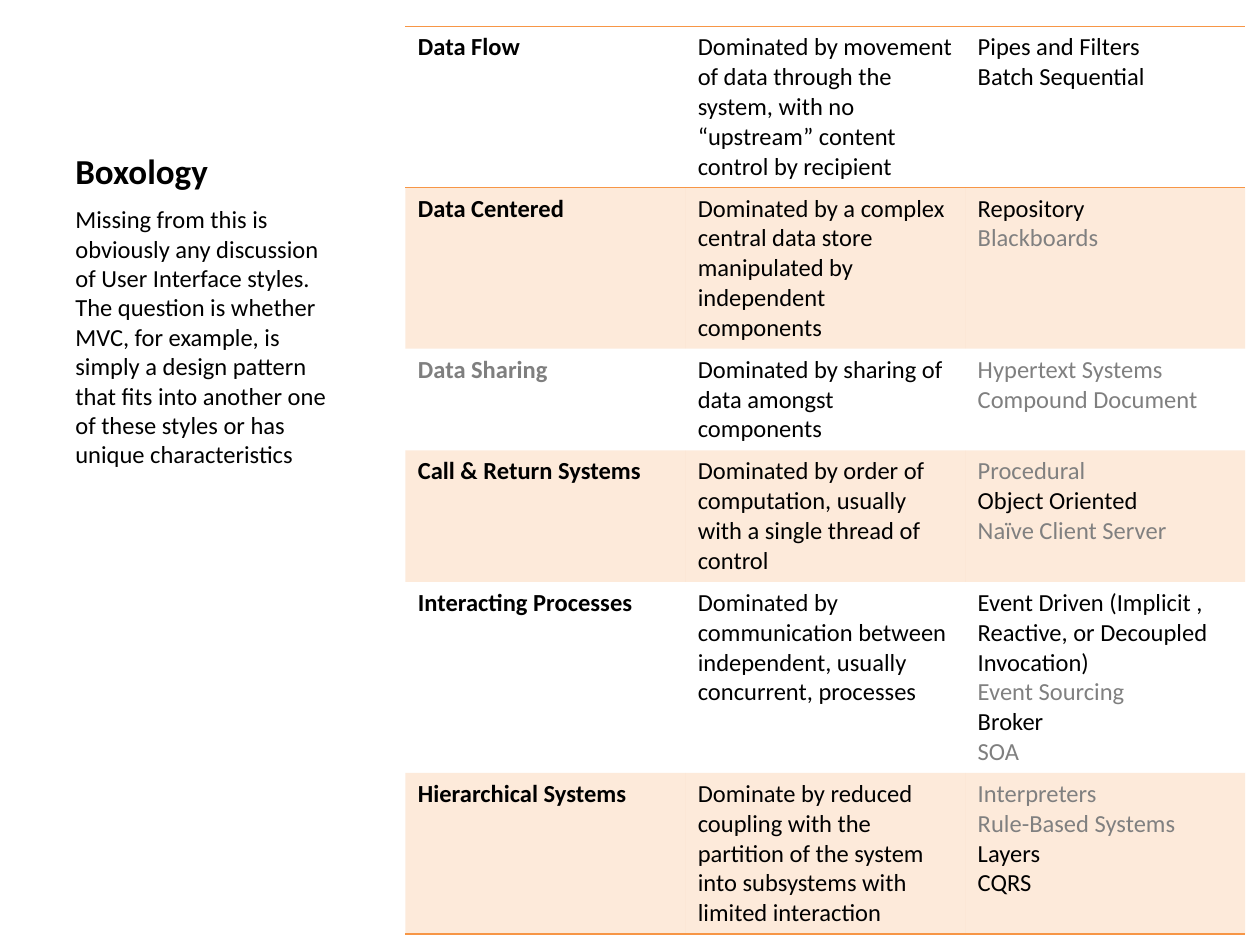
from lxml import etree
from pptx import Presentation
from pptx.dml import color
from pptx.enum import text
from pptx.oxml import ns
from pptx.util import Cm, Pt

BLACK, GREY, DARK_GREY, ORANGE = "000000", "808080", "7F7F7F", "F79646"
PLAIN_TABLE = "{2D5ABB26-0587-4C30-8999-92F81FD0307C}"
LINE_HEIGHT, CELL_PADDING = 0.6, 0.25

# Category, its description, its styles, and the lines the row takes
CATEGORIES = [
    (("Data Flow", BLACK),
     "Dominated by movement of data through the system, with no “upstream” content control by recipient",
     [("Pipes and Filters", BLACK), ("Batch Sequential", BLACK)], 5),
    (("Data Centered", BLACK),
     "Dominated by a complex central data store manipulated by independent components",
     [("Repository", BLACK), ("Blackboards", GREY)], 5),
    (("Data Sharing", DARK_GREY),
     "Dominated by sharing of data amongst components",
     [("Hypertext Systems", GREY), ("Compound Document", DARK_GREY)], 3),
    (("Call & Return Systems", BLACK),
     "Dominated by order of computation, usually with a single thread of control",
     [("Procedural", GREY), ("Object Oriented", BLACK), ("Naïve Client Server", GREY)], 4),
    (("Interacting Processes", BLACK),
     "Dominated by communication between independent, usually concurrent, processes",
     [("Event Driven (Implicit , Reactive, or Decoupled Invocation)", BLACK),
      ("Event Sourcing", GREY), ("Broker", BLACK), ("SOA", DARK_GREY)], 6),
    (("Hierarchical Systems", BLACK),
     "Dominate by reduced coupling with the partition of the system into subsystems with limited interaction",
     [("Interpreters", GREY), ("Rule-Based Systems", GREY), ("Layers", BLACK), ("CQRS", BLACK)], 5),
]


def rgb(hex_code):
    return color.RGBColor.from_string(hex_code)


class SlideBuilder:
    font = "Calibri"
    size = 14

    def __init__(self, slide):
        self.slide = slide

    def add_lines(self, frame, lines, size=None, bold=False):
        """Add each (wording, colour) pair as its own paragraph."""
        for index, (wording, hex_code) in enumerate(lines):
            paragraph = frame.add_paragraph() if index else frame.paragraphs[0]
            run = paragraph.add_run()
            run.text = wording
            run.font.name = self.font
            run.font.size = Pt(size or self.size)
            run.font.bold = bold
            run.font.color.rgb = rgb(hex_code)

    def text(self, left, top, width, height, wording, anchor, **style):
        box = self.slide.shapes.add_textbox(Cm(left), Cm(top), Cm(width), Cm(height))
        frame = box.text_frame
        frame.word_wrap = True
        frame.vertical_anchor = anchor
        self.add_lines(frame, [(wording, BLACK)], **style)

    def border(self, cell, side):
        line = etree.SubElement(cell._tc.get_or_add_tcPr(), ns.qn(f"a:ln{side}"), w=str(Pt(1)))
        fill = etree.SubElement(line, ns.qn("a:solidFill"))
        etree.SubElement(fill, ns.qn("a:srgbClr"), val=ORANGE)

    def shade(self, cell):
        """Fill the cell with a 20% orange tint."""
        cell.fill.solid()
        cell.fill.fore_color.rgb = rgb(ORANGE)
        tint = cell._tc.tcPr.find(ns.qn("a:solidFill")).find(ns.qn("a:srgbClr"))
        etree.SubElement(tint, ns.qn("a:alpha"), val="20000")

    def table(self, left, top, width, categories):
        heights = [Cm(lines * LINE_HEIGHT + CELL_PADDING) for *_, lines in categories]
        grid = self.slide.shapes.add_table(
            len(categories), 3, Cm(left), Cm(top), Cm(width), sum(heights)).table
        grid.first_row = grid.horz_banding = False
        grid._tbl.tblPr.find(ns.qn("a:tableStyleId")).text = PLAIN_TABLE
        last = len(categories) - 1
        for index, (category, description, styles, _) in enumerate(categories):
            grid.rows[index].height = heights[index]
            columns = [[category], [(description, BLACK)], styles]
            for column, lines in enumerate(columns):
                cell = grid.cell(index, column)
                self.add_lines(cell.text_frame, lines, bold=column == 0)
                if index == 0:
                    self.border(cell, "T")
                if index in (0, last):
                    self.border(cell, "B")
                if index % 2:
                    self.shade(cell)
                else:
                    cell.fill.background()


def main():
    deck = Presentation()
    deck.slide_width, deck.slide_height = Cm(25.4), Cm(19.05)
    builder = SlideBuilder(deck.slides.add_slide(deck.slide_layouts[6]))
    builder.text(1.27, 0.76, 6.43, 3.23, "Boxology", text.MSO_ANCHOR.BOTTOM, size=20, bold=True)
    builder.text(
        1.27, 3.99, 5.64, 13.03,
        "Missing from this is obviously any discussion of User Interface styles. "
        "The question is whether MVC, for example, is simply a design pattern that fits "
        "into another one of these styles or has unique characteristics",
        text.MSO_ANCHOR.TOP)
    builder.table(8.17, 0.53, 16.93, CATEGORIES)
    deck.save("out.pptx")


if __name__ == "__main__":
    main()
